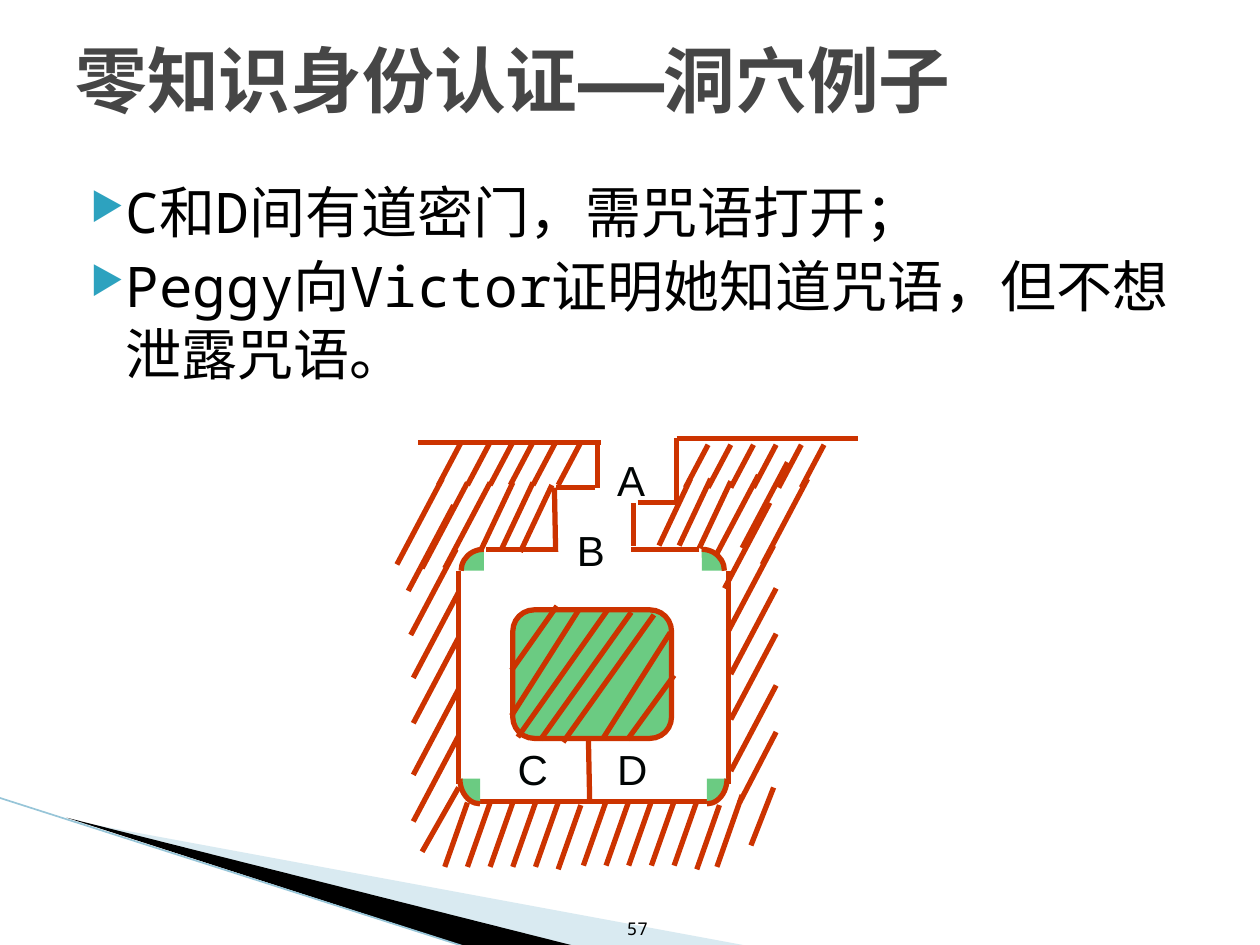
from lxml import etree
from pptx import Presentation, util as u
from pptx.dml.color import RGBColor
from pptx.enum import shapes, text
from pptx.oxml import ns

Inches, Pt = u.Inches, u.Pt
BLACK = RGBColor(0, 0, 0)
TITLE_GREY = RGBColor(0x46, 0x46, 0x46)
LABEL_INK = RGBColor(0, 4, 4)
PALE_BLUE = RGBColor(0xA0, 0xCB, 0xDC)
EDGE_BLUE = RGBColor(0x97, 0xC5, 0xD8)
ROCK_RED = RGBColor(0xCC, 0x33, 0x00)
GRASS = RGBColor(0x6B, 0xCB, 0x82)
MONO = "Noto Sans Mono"

presentation = Presentation()
presentation.slide_width, presentation.slide_height = Inches(10), Inches(7.5)
slide = presentation.slides.add_slide(presentation.slide_layouts[6])


def add_line(parent, start, end, color=ROCK_RED, width=3):
    line = parent.add_connector(shapes.MSO_CONNECTOR.STRAIGHT, *map(Inches, start + end))
    line.line.color.rgb = color
    line.line.width = Pt(width)
    etree.SubElement(line._element.spPr, ns.qn("a:effectLst"))


def add_text(parent, box, lines, size, color, font=MONO, bold=False, anchor=text.MSO_ANCHOR.TOP):
    shape = parent.add_textbox(*map(Inches, box))
    frame = shape.text_frame
    frame.word_wrap = True
    frame.vertical_anchor = anchor
    frame.text = "\n".join(lines)
    for paragraph in frame.paragraphs:
        for run in paragraph.runs:
            run.font.size, run.font.bold, run.font.name = Pt(size), bold, font
            run.font.color.rgb = color
            east_asian = etree.SubElement(run.font._element, ns.qn("a:ea"))
            east_asian.set("typeface", font)
    return frame


# Corner wedges and their thin edge
wedges = [
    (PALE_BLUE, [(0.55, 6.51), (5.95, 7.51), (4.56, 7.51)]),
    (BLACK, [(0.53, 6.49), (4.57, 7.51), (3.72, 7.52)]),
]
for color, corners in wedges:
    points = [(Inches(x), Inches(y)) for x, y in corners]
    builder = slide.shapes.build_freeform(*points[0])
    builder.add_line_segments(points[1:], close=True)
    wedge = builder.convert_to_shape()
    wedge.shadow.inherit = False
    wedge.fill.solid()
    wedge.fill.fore_color.rgb = color
    wedge.line.fill.background()
    if color == PALE_BLUE:
        solid = wedge._element.spPr.find(ns.qn("a:solidFill"))
        etree.SubElement(solid[0], ns.qn("a:alpha")).set("val", "40000")
add_line(slide.shapes, (-0.01, 6.33), (3.71, 7.52), EDGE_BLUE, 0.95)

# Bulleted body
body = add_text(slide.shapes, (0.5, 1.31, 9, 5.26),
                ["C和D间有道密门，需咒语打开；", "Peggy向Victor证明她知道咒语，但不想泄露咒语。"], 32, BLACK)
body.margin_top = Inches(0.1)
for index, paragraph in enumerate(body.paragraphs):
    paragraph.line_spacing = Pt(38.4)
    paragraph.space_before = Pt(4 * index)
    properties = paragraph._p.get_or_add_pPr()
    properties.set("marL", str(Inches(0.4)))
    properties.set("indent", str(Inches(-0.28)))
    bullet_color = etree.SubElement(properties, ns.qn("a:buClr"))
    etree.SubElement(bullet_color, ns.qn("a:srgbClr")).set("val", "2DA2BF")
    etree.SubElement(properties, ns.qn("a:buSzPct")).set("val", "68000")
    etree.SubElement(properties, ns.qn("a:buChar")).set("char", "▶")

# Title and page number
add_text(slide.shapes, (0.5, 0, 9, 1.25), ["零知识身份认证——洞穴例子"], 41, TITLE_GREY,
         bold=True, anchor=text.MSO_ANCHOR.MIDDLE)
number = add_text(slide.shapes, (4.68, 7.01, 0.56, 0.49), ["57"], 10, BLACK,
                  anchor=text.MSO_ANCHOR.BOTTOM)
number.paragraphs[0].alignment = text.PP_ALIGN.RIGHT

# Rock hatching: one stroke vector, then the top ends of its strokes
cave = slide.shapes.add_group_shape().shapes
rock_hatching = [
    ((-0.36, 0.68), [(6.25, 3.67), (6.41, 3.8), (6.02, 3.77),
                     (3.51, 3.8), (3.71, 3.83), (3.89, 3.83),
                     (3.6, 4.01), (3.62, 4.36), (3.64, 4.7), (3.64, 5.06), (3.64, 5.47), (3.64, 5.84),
                     (6.11, 3.99), (6.14, 4.33), (6.16, 4.67), (6.16, 5.03), (6.16, 5.44)]),
    ((-0.25, 0.53), [(4.07, 3.83), (4.23, 3.83), (4.38, 3.85),
                     (5.48, 3.8), (5.64, 3.8), (5.8, 3.82)]),
    ((-0.18, 0.51), [(3.71 + 0.18 * i, 6.37) for i in range(5)] + [(4.61, 6.39)]
                    + [(4.81 + 0.18 * i, 6.36) for i in range(5)] + [(5.71, 6.39)]),
    ((-0.18, 0.34), [(x, 3.51) for x in (3.66, 3.89, 4.07, 4.23, 4.41, 4.61)]
                    + [(x, 3.53) for x in (5.62, 5.8, 5.98, 6.16, 6.36, 6.54)]),
    ((-0.29, 0.51), [(3.64, 6.25)]),
    ((-0.29, 0.56), [(6.16, 5.81)]),
    ((-0.2, 0.57), [(5.89, 6.31)]),
    ((-0.18, 0.46), [(6.14, 6.25)]),
]
for (dx, dy), tops in rock_hatching:
    for x, y in tops:
        add_line(cave, (x, y), (x + dx, y + dy))

# Central block
block = cave.add_shape(shapes.MSO_SHAPE.ROUNDED_RECTANGLE,
                       *map(Inches, (4.07, 4.84, 1.26, 1.02)))

# Walls and the secret door
walls = [
    ((4.67, 5.85), (4.68, 6.36)),
    ((3.32, 3.51), (4.77, 3.51)), ((5.37, 3.48), (6.81, 3.48)),
    ((4.74, 3.53), (4.74, 3.87)), ((4.72, 3.87), (4.41, 3.87)), ((4.4, 3.87), (4.41, 4.38)),
    ((5.03, 4.33), (5.03, 3.99)), ((5.06, 3.99), (5.37, 3.99)), ((5.37, 3.99), (5.37, 3.48)),
    ((5.62, 6.36), (4, 6.36)), ((3.8, 6.36), (5.42, 6.36)),
    ((5.55, 4.36), (5.01, 4.36)), ((3.86, 4.36), (4.41, 4.36)),
    ((5.78, 4.53), (5.78, 6.22)), ((3.64, 4.53), (3.64, 6.22)),
]
for start, end in walls:
    add_line(cave, start, end)

# Rounded corners: centre, radii, start angle of a quarter turn
outlined = [block]
for x, y, rx, ry, angle in [(5.57, 4.53, 0.18, 0.17, 270), (5.61, 6.18, 0.16, 0.2, 0),
                            (3.84, 4.53, 0.18, 0.17, 180), (3.81, 6.18, 0.16, 0.2, 90)]:
    arc = cave.add_shape(shapes.MSO_SHAPE.ARC,
                         *map(Inches, (x - rx, y - ry, 2 * rx, 2 * ry)))
    arc.adjustments[0] = angle * 0.6
    arc.adjustments[1] = (angle + 90) % 360 * 0.6
    outlined.append(arc)
for shape in outlined:
    shape.shadow.inherit = False
    shape.fill.solid()
    shape.fill.fore_color.rgb = GRASS
    shape.line.color.rgb = ROCK_RED
    shape.line.width = Pt(3)

# Hatching of the block
block_hatching = [
    ((4.06, 5.68), (4.6, 4.83)), ((4.78, 5.87), (5.32, 5.02)), ((4.29, 5.87), (5.01, 4.86)),
    ((4.47, 5.89), (5.19, 4.88)), ((4.11, 5.85), (4.83, 4.83)), ((4.98, 5.87), (5.35, 5.36)),
    ((4.06, 5.32), (4.42, 4.81)),
]
for start, end in block_hatching:
    add_line(cave, start, end)

# Place labels
for label, x, y in [("A", 4.8, 3.56), ("B", 4.48, 4.11), ("C", 4.01, 5.85), ("D", 4.8, 5.85)]:
    add_text(cave, (x, y, 0.55, 0.4), [label], 24, LABEL_INK, "Arial")

presentation.save("out.pptx")
